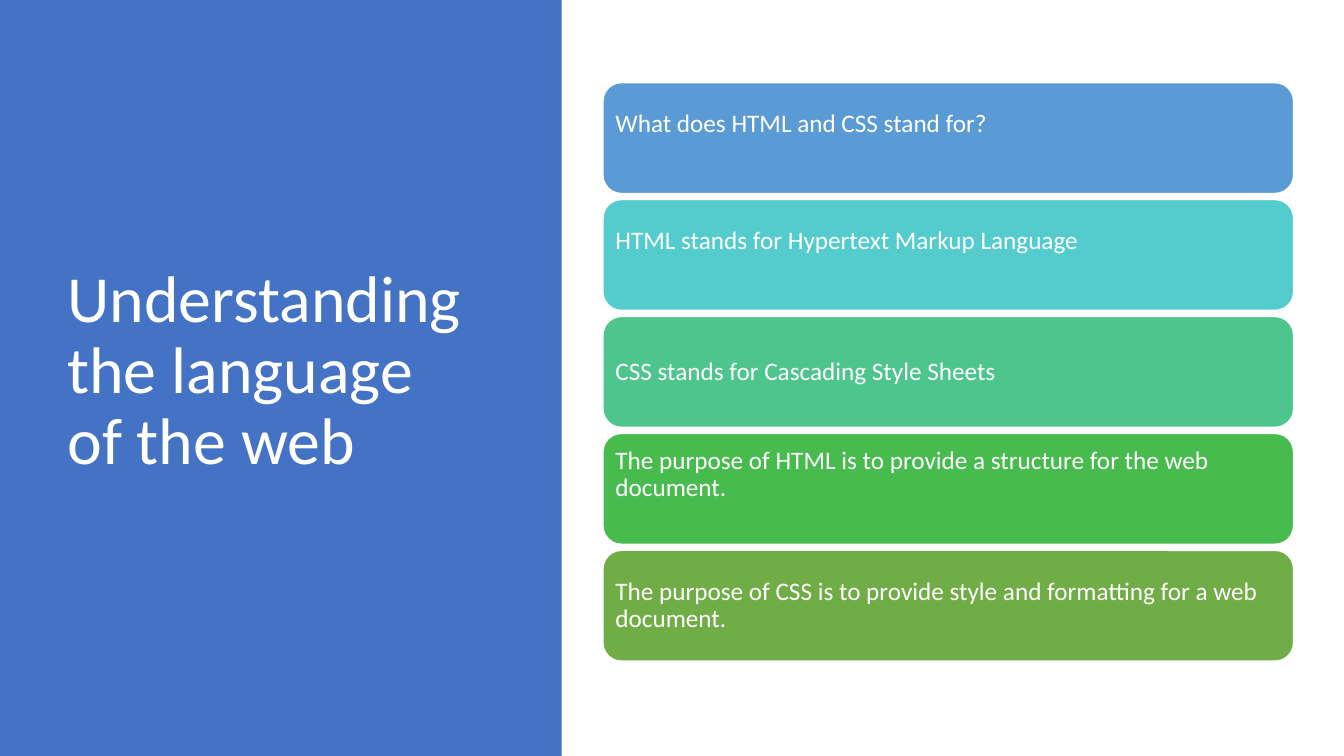
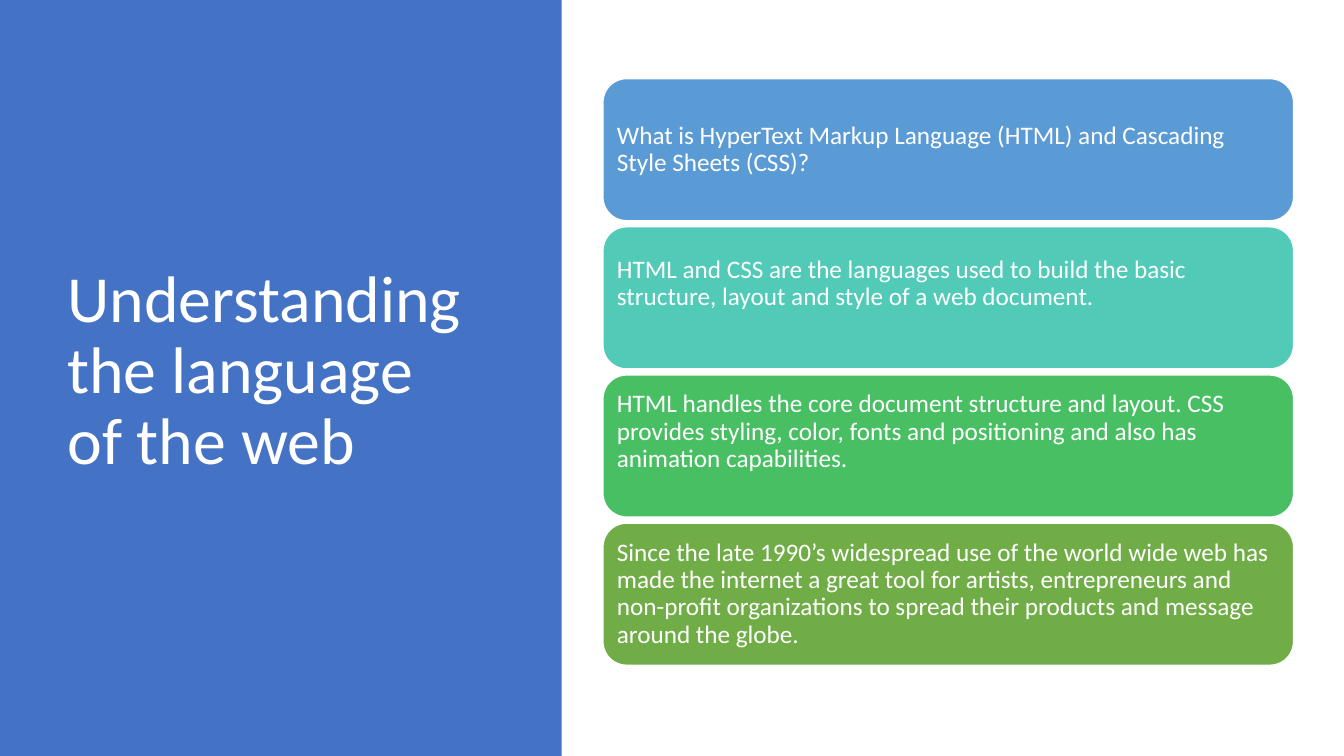
from dataclasses import dataclass

from pptx import Presentation
from pptx.dml.color import RGBColor as RGB
from pptx.enum.shapes import MSO_SHAPE as SHAPE
from pptx.enum.text import MSO_ANCHOR as ANCHOR, PP_ALIGN as ALIGN
from pptx.util import Inches, Pt


@dataclass(frozen=True)
class Theme:
    font: str = "Calibri"
    white: str = "FFFFFF"
    panel: str = "4472C4"
    title: int = 47
    body: int = 18
    lead: float = 0.9


# Card stack geometry, in inches
LEFT, WIDE, GAP, MID = 5.98, 6.85, 0.06, 3.69
PAD, LIFT = 0.07, 0.28

TITLE = "Understanding the language of the web"

# Per slide: card height, then (fill, text, raised above the middle)
SLIDES = [
    (1.1, [
        ("5B9BD5", "What does HTML and CSS stand for?", True),
        ("54CCCD", "HTML stands for Hypertext Markup Language", True),
        ("4DC58D", "CSS stands for Cascading Style Sheets", False),
        ("48BB4F", "The purpose of HTML is to provide a structure "
                   "for the web document.", True),
        ("70AD47", "The purpose of CSS is to provide style and "
                   "formatting for a web document.", False),
    ]),
    (1.41, [
        ("5B9BD5", "What is HyperText Markup Language (HTML) and "
                   "Cascading Style Sheets (CSS)?", False),
        ("52CAB8", "HTML and CSS are the languages used to build the basic "
                   "structure, layout and style of a web document.", True),
        ("49BF64", "HTML handles the core document structure and layout. "
                   "CSS provides styling, color, fonts and positioning and "
                   "also has animation capabilities.", True),
        ("70AD47", "Since the late 1990’s widespread use of the world wide "
                   "web has made the internet a great tool for artists, "
                   "entrepreneurs and non-profit organizations to spread "
                   "their products and message around the globe.", False),
    ]),
]


class Deck:
    def __init__(self, theme):
        self.theme = theme
        self.prs = Presentation()
        self.prs.slide_width = Inches(13.33)
        self.prs.slide_height = Inches(7.5)
        self.slide = None

    def page(self):
        self.slide = self.prs.slides.add_slide(self.prs.slide_layouts[6])

    def block(self, kind, box, fill, line=None):
        shape = self.slide.shapes.add_shape(kind, *map(Inches, box))
        shape.shadow.inherit = False
        shape.fill.solid()
        shape.fill.fore_color.rgb = RGB.from_string(fill)
        if line:
            shape.line.color.rgb = RGB.from_string(line)
            shape.line.width = Pt(1)
        else:
            shape.line.fill.background()
        return shape

    def label(self, shape, text, size, **extra):
        frame = shape.text_frame
        frame.text = text
        para = frame.paragraphs[0]
        formats = [
            (frame, {"word_wrap": True, "vertical_anchor": ANCHOR.MIDDLE,
                     **extra}),
            (para, {"alignment": ALIGN.LEFT,
                    "line_spacing": self.theme.lead}),
            (para.font, {"name": self.theme.font, "size": Pt(size)}),
        ]
        for item, values in formats:
            for name, value in values.items():
                setattr(item, name, value)
        para.font.color.rgb = RGB.from_string(self.theme.white)

    def panel(self, text):
        self.block(SHAPE.RECTANGLE, (0, 0, 5.57, 7.5), self.theme.panel)
        box = self.slide.shapes.add_textbox(
            *map(Inches, (0.57, 0.68, 4.16, 6.02)))
        self.label(box, text, self.theme.title)

    def card(self, top, high, fill, text, raised):
        shape = self.block(SHAPE.ROUNDED_RECTANGLE, (LEFT, top, WIDE, high),
                           fill, self.theme.white)
        pads = {f"margin_{side}": Inches(PAD)
                for side in ("left", "top", "right", "bottom")}
        if raised:
            pads["margin_bottom"] = Inches(PAD + LIFT)
        self.label(shape, text, self.theme.body, **pads)

    def stack(self, high, cards):
        # Equal gaps, centred on MID
        step = high + GAP
        top = MID - (len(cards) * step - GAP) / 2
        for row, card in enumerate(cards):
            self.card(top + row * step, high, *card)


def main():
    deck = Deck(Theme())
    for high, cards in SLIDES:
        deck.page()
        deck.panel(TITLE)
        deck.stack(high, cards)
    deck.prs.save("out.pptx")


if __name__ == "__main__":
    main()
